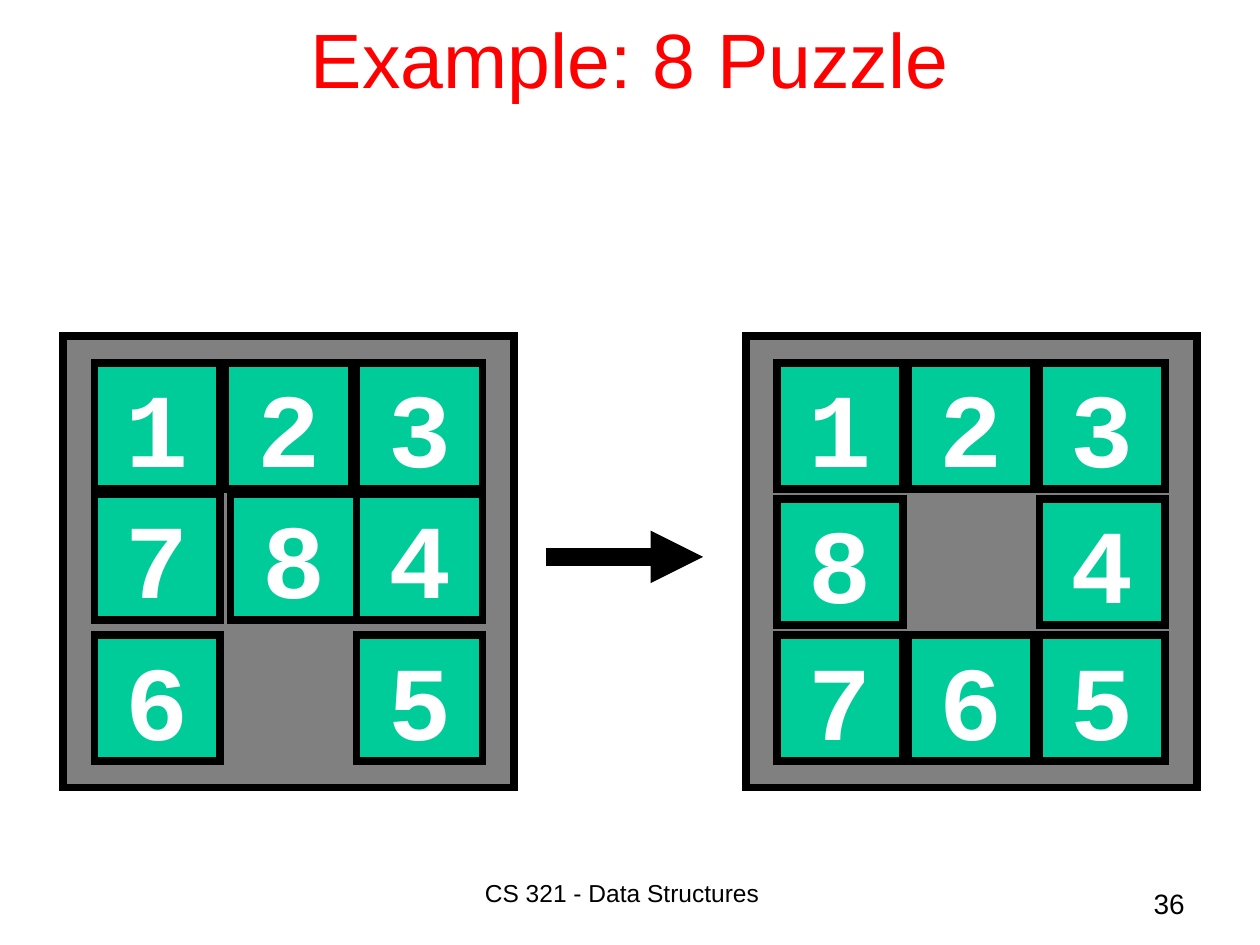
from dataclasses import dataclass

from pptx import Presentation
from pptx.dml.color import RGBColor
from pptx.enum.shapes import MSO_CONNECTOR, MSO_SHAPE
from pptx.enum.text import MSO_ANCHOR, PP_ALIGN
from pptx.oxml.ns import qn
from pptx.util import Inches, Pt
from lxml.etree import SubElement

COLORS = {
    "title": "FF0000",
    "ink": "000000",
    "board": "808080",
    "tile": "00CC99",
    "digit": "FFFFFF",
}
BOARD_TOP, BOARD_SIZE = 2.67, 3.58
MARGIN, TILE_SIZE, COLUMN_STEP = 0.25, 1, 1.04


@dataclass
class Board:
    left: float
    row_tops: tuple[float, ...]
    rows: tuple[str, ...]  # a space marks the empty square
    nudges: dict[str, float]  # sideways shift of single tiles


@dataclass
class Label:
    text: str
    box: tuple[float, float, float, float]
    size: int
    color: str
    align: PP_ALIGN
    anchor: MSO_ANCHOR = MSO_ANCHOR.TOP


BOARDS = [
    Board(0.5, (2.88, 3.92, 5.04), ("123", "784", "6 5"), {"8": 0.04}),
    Board(5.92, (2.88, 3.96, 5.04), ("123", "8 4", "765"), {}),
]
LABELS = [
    Label("Example: 8 Puzzle", (0.75, -0.17, 8.5, 1.25), 44, "title",
          PP_ALIGN.CENTER, MSO_ANCHOR.MIDDLE),
    Label("CS 321 - Data Structures", (3.75, 6.92, 3.33, 0.5), 14, "ink", PP_ALIGN.LEFT),
    Label("36", (7.42, 6.99, 2.08, 0.5), 16, "ink", PP_ALIGN.RIGHT),
]


def rgb(name: str) -> RGBColor:
    return RGBColor.from_string(COLORS[name])


def set_text(sp, text: str, font: str, size: int, color: str, align: PP_ALIGN,
             anchor: MSO_ANCHOR, wrap: bool, bold: bool = False) -> None:
    tf = sp.text_frame
    tf.word_wrap = wrap
    tf.vertical_anchor = anchor
    p = tf.paragraphs[0]
    p.text = text
    p.alignment = align
    p.font.name = font
    p.font.size = Pt(size)
    p.font.bold = bold
    p.font.color.rgb = rgb(color)


def add_square(s, left: float, top: float, size: float, fill: str):
    sp = s.shapes.add_shape(MSO_SHAPE.RECTANGLE, Inches(left), Inches(top),
                            Inches(size), Inches(size))
    sp.shadow.inherit = False
    sp.fill.solid()
    sp.fill.fore_color.rgb = rgb(fill)
    sp.line.color.rgb = rgb("ink")
    sp.line.width = Pt(4.5)
    # Sharp outline corners
    SubElement(sp.line._get_or_add_ln(), qn("a:miter"), lim="800000")
    return sp


def add_board(s, board: Board) -> None:
    add_square(s, board.left, BOARD_TOP, BOARD_SIZE, "board")
    for top, row in zip(board.row_tops, board.rows):
        for col, digit in enumerate(row):
            if digit == " ":
                continue
            left = board.left + MARGIN + col * COLUMN_STEP + board.nudges.get(digit, 0)
            tile = add_square(s, left, top, TILE_SIZE, "tile")
            set_text(tile, digit, "Courier New", 60, "digit", PP_ALIGN.CENTER,
                     MSO_ANCHOR.MIDDLE, wrap=False, bold=True)


def add_arrow(s, x1: float, x2: float, y: float) -> None:
    arrow = s.shapes.add_connector(MSO_CONNECTOR.STRAIGHT, Inches(x1), Inches(y),
                                   Inches(x2), Inches(y))
    arrow.line.color.rgb = rgb("ink")
    arrow.line.width = Pt(10)
    SubElement(arrow.line._get_or_add_ln(), qn("a:tailEnd"), type="triangle")
    SubElement(arrow._element.spPr, qn("a:effectLst"))


def add_label(s, label: Label) -> None:
    sp = s.shapes.add_textbox(*map(Inches, label.box))
    set_text(sp, label.text, "Arial", label.size, label.color, label.align,
             label.anchor, wrap=True)


def main() -> None:
    prs = Presentation()
    prs.slide_width, prs.slide_height = Inches(10), Inches(7.5)
    s = prs.slides.add_slide(prs.slide_layouts[6])

    # Start and goal boards with the arrow between them
    for board in BOARDS:
        add_board(s, board)
    add_arrow(s, 4.33, 5.58, 4.42)

    # Title, footer and slide number
    for label in LABELS:
        add_label(s, label)

    prs.save("out.pptx")


if __name__ == "__main__":
    main()
